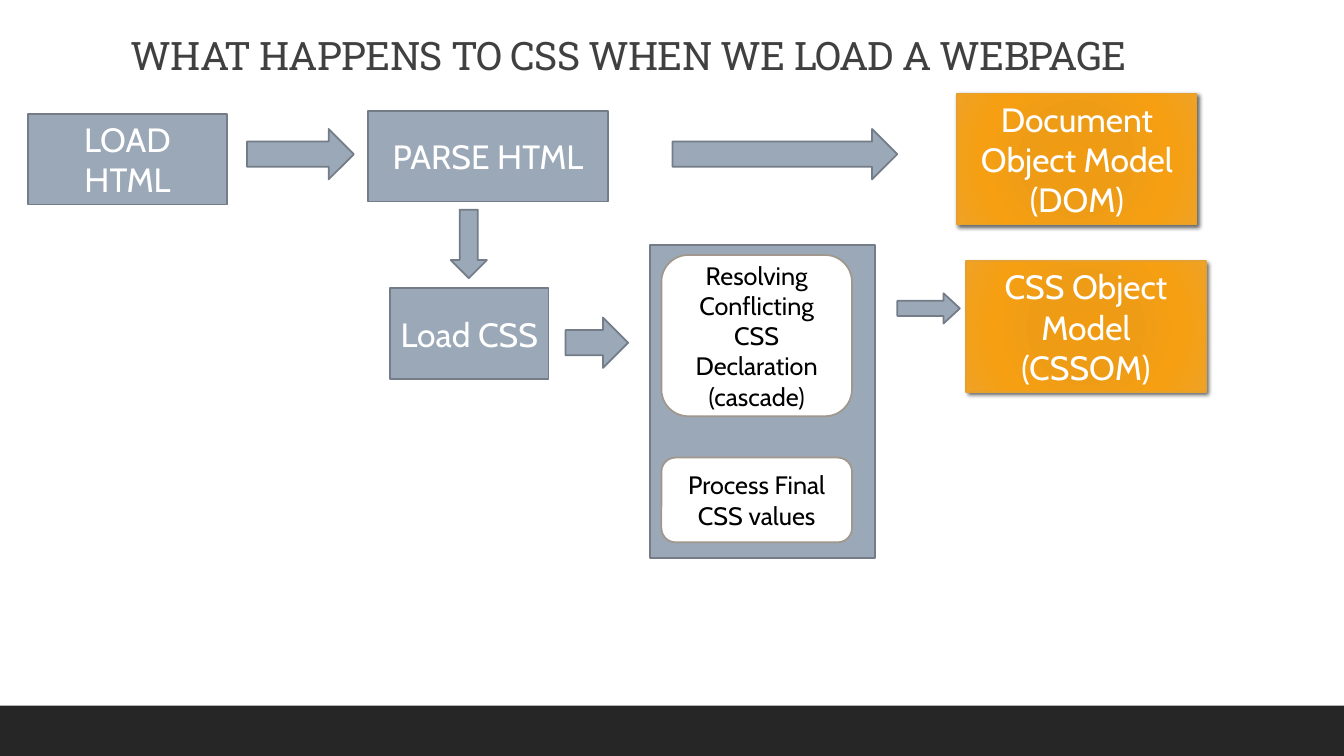
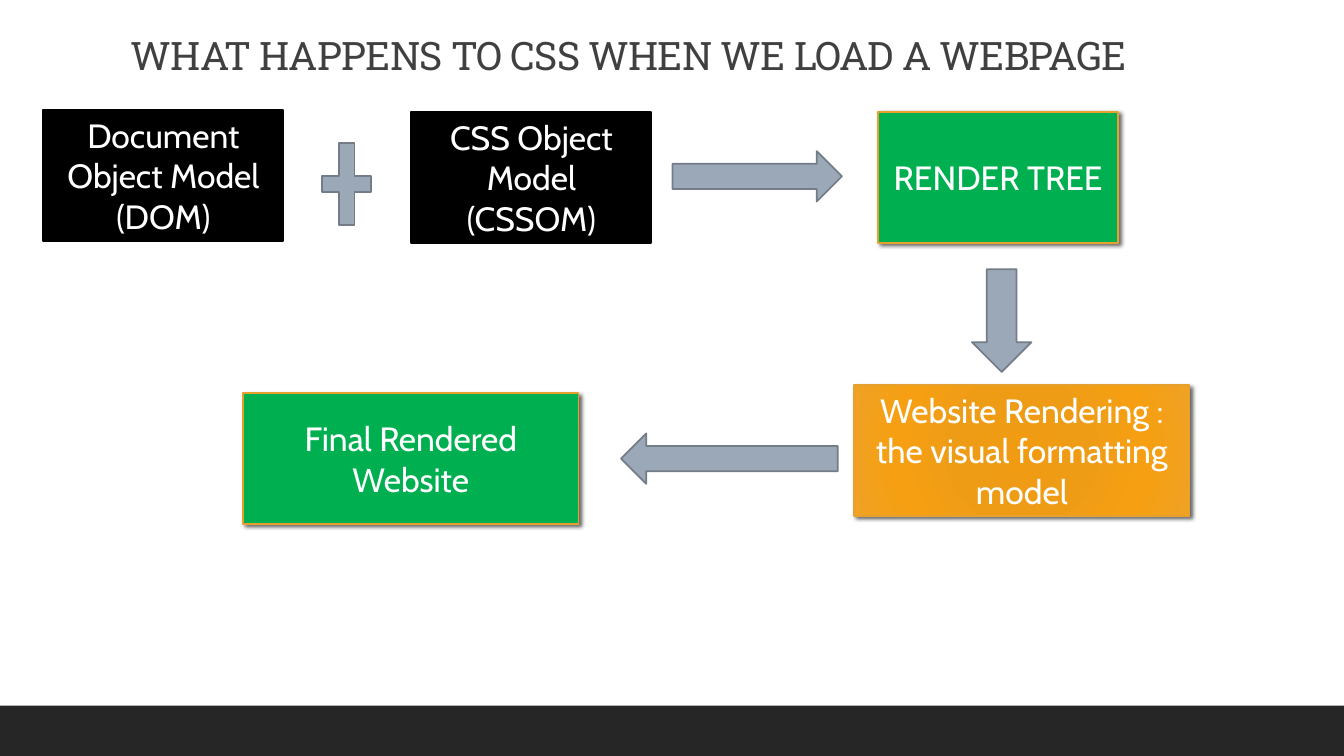
from dataclasses import dataclass

from pptx import Presentation
from pptx.dml.color import RGBColor
from pptx.enum.shapes import MSO_SHAPE as Geo
from pptx.enum.text import MSO_ANCHOR as Anchor, PP_ALIGN as Align
from pptx.oxml import parse_xml
from pptx.oxml.ns import nsdecls, qn
from pptx.shapes.autoshape import Shape
from pptx.slide import Slide
from pptx.util import Inches, Pt

COLORS = {
    "white": "FFFFFF", "black": "000000", "band": "262626", "title": "404040",
    "slate": "9BA8B7", "edge": "737C87", "taupe": "A0988C",
    "green": "00B050", "gold": "E6A02E",
}
GLOW = [(0, "F09B11"), (34, "EE9C16"), (70, "F69F12"), (100, "EFA225")]
WIDE, HIGH = 13.33, 7.5
BAND = 0.5
TITLE = "WHAT HAPPENS TO CSS WHEN WE LOAD A WEBPAGE"
DOM = "Document Object Model (DOM)"
CSSOM = "CSS Object Model (CSSOM)"


@dataclass(frozen=True)
class Style:
    """Look of a box; a fill of "glow" means the orange gradient."""
    fill: str
    line: str
    width: float = 1.25
    ink: str = "white"
    size: int = 24
    shadow: bool = False


STEP = Style("slate", "edge")
NOTE = Style("white", "taupe", ink="black", size=18)
INPUT = Style("black", "black")
MODEL = Style("glow", "gold", 1, shadow=True)
RESULT = Style("green", "gold", 1, shadow=True)


@dataclass(frozen=True)
class Item:
    """One shape of the flow, with its place in inches."""
    x: float
    y: float
    w: float
    h: float
    text: str = ""
    style: Style = STEP
    geo: Geo = Geo.RECTANGLE
    adj: tuple[float, ...] = ()


def arrow(x: float, y: float, w: float, h: float = 0.5,
          geo: Geo = Geo.RIGHT_ARROW, adj: tuple[float, ...] = ()) -> Item:
    """Describe a block arrow."""
    return Item(x, y, w, h, geo=geo, adj=adj)


def model(x: float, y: float, text: str, style: Style = MODEL, w: float = 2.38) -> Item:
    """Describe a tall box for a model or a result."""
    return Item(x, y, w, 1.3, text, style)


def step(x: float, y: float, w: float, text: str) -> Item:
    """Describe a loading or parsing step."""
    return Item(x, y, w, 0.9, text)


def note(y: float, h: float, text: str) -> Item:
    """Describe a rounded box inside the CSS panel."""
    return Item(6.56, y, 1.89, h, text, NOTE, Geo.ROUNDED_RECTANGLE)


LOADING = [
    step(0.28, 1.13, 1.97, "LOAD HTML"),
    arrow(2.45, 1.28, 1.06),
    step(3.65, 1.1, 2.38, "PARSE HTML"),
    arrow(6.67, 1.28, 2.23),
    model(9.49, 0.93, DOM),
    step(3.87, 2.86, 1.57, "Load CSS"),
    arrow(4.47, 2.08, 0.36, 0.68, Geo.DOWN_ARROW),
    arrow(5.61, 3.15, 0.62),
    Item(6.45, 2.43, 2.23, 3.11),
    note(2.53, 1.6, "Resolving Conflicting CSS Declaration (cascade)"),
    note(4.54, 0.84, "Process Final CSS values"),
    arrow(8.9, 2.91, 0.62, 0.3, adj=(0.5, 0.54)),
    model(9.58, 2.59, CSSOM),
]
RENDERING = [
    model(0.43, 1.09, DOM, INPUT),
    model(4.08, 1.11, CSSOM, INPUT),
    Item(3.11, 1.27, 0.66, 1.11, geo=Geo.MATH_PLUS),
    arrow(6.67, 1.5, 1.68),
    model(8.71, 1.11, "RENDER TREE", RESULT),
    arrow(9.64, 2.67, 0.59, 1.02, Geo.DOWN_ARROW),
    model(8.47, 3.82, "Website Rendering : the visual formatting model", w=3.33),
    arrow(6.16, 4.3, 2.15, geo=Geo.LEFT_ARROW),
    model(2.41, 3.9, "Final Rendered Website", RESULT, 3.33),
]


def rgb(name: str) -> RGBColor:
    """Look up a named colour."""
    return RGBColor.from_string(COLORS[name])


def glow(shape: Shape) -> None:
    """Fill a shape with the orange radial gradient."""
    stops = "".join(f'<a:gs pos="{pos * 1000}"><a:srgbClr val="{tone}"/></a:gs>'
                    for pos, tone in GLOW)
    fill = parse_xml(
        f'<a:gradFill {nsdecls("a")} rotWithShape="1"><a:gsLst>{stops}</a:gsLst>'
        '<a:path path="circle"><a:fillToRect l="100000" t="100000" r="100000" '
        'b="100000"/></a:path></a:gradFill>')
    shape._element.spPr.find(qn("a:prstGeom")).addnext(fill)


def shade(shape: Shape) -> None:
    """Cast a soft shadow down and to the right."""
    shape._element.spPr.find(qn("a:effectLst")).append(parse_xml(
        f'<a:outerShdw {nsdecls("a")} blurRad="{Pt(3)}" dist="{Pt(2)}" '
        f'dir="{45 * 60000}" algn="ctr" rotWithShape="0">'
        f'<a:srgbClr val="{COLORS["black"]}"><a:alpha val="60000"/></a:srgbClr>'
        '</a:outerShdw>'))


def draw(slide: Slide, item: Item) -> None:
    """Draw one item of the flow."""
    style = item.style
    shape = slide.shapes.add_shape(
        item.geo, Inches(item.x), Inches(item.y), Inches(item.w), Inches(item.h))
    shape.shadow.inherit = False
    for spot, ratio in enumerate(item.adj):
        shape.adjustments[spot] = ratio
    if style.fill == "glow":
        glow(shape)
    else:
        shape.fill.solid()
        shape.fill.fore_color.rgb = rgb(style.fill)
    shape.line.color.rgb = rgb(style.line)
    shape.line.width = Pt(style.width)
    if style.shadow:
        shade(shape)
    if item.text:
        frame = shape.text_frame
        frame.word_wrap = True
        frame.vertical_anchor = Anchor.MIDDLE
        para = frame.paragraphs[0]
        para.text = item.text
        para.alignment = Align.CENTER
        para.font.name = "Cabin"
        para.font.size = Pt(style.size)
        para.font.color.rgb = rgb(style.ink)


def frame_up(slide: Slide) -> None:
    """Add the title and the bottom band."""
    band = slide.shapes.add_shape(
        Geo.RECTANGLE, 0, Inches(HIGH - BAND), Inches(WIDE), Inches(BAND))
    band.shadow.inherit = False
    band.fill.solid()
    band.fill.fore_color.rgb = rgb("band")
    band.line.fill.background()
    box = slide.shapes.add_textbox(Inches(1.2), Inches(0.31), Inches(11), Inches(0.71))
    box.text_frame.word_wrap = True
    para = box.text_frame.paragraphs[0]
    para.text = TITLE
    para.line_spacing = 0.9
    para.font.name = "Roboto Slab"
    para.font.size = Pt(28)
    para.font.color.rgb = rgb("title")
    para.runs[0]._r.get_or_add_rPr().set("spc", "-50")


def main() -> None:
    """Build and save the deck."""
    deck = Presentation()
    deck.slide_width, deck.slide_height = Inches(WIDE), Inches(HIGH)
    for flow in (LOADING, RENDERING):
        slide = deck.slides.add_slide(deck.slide_layouts[6])
        frame_up(slide)
        for item in flow:
            draw(slide, item)
    deck.save("out.pptx")


main()
